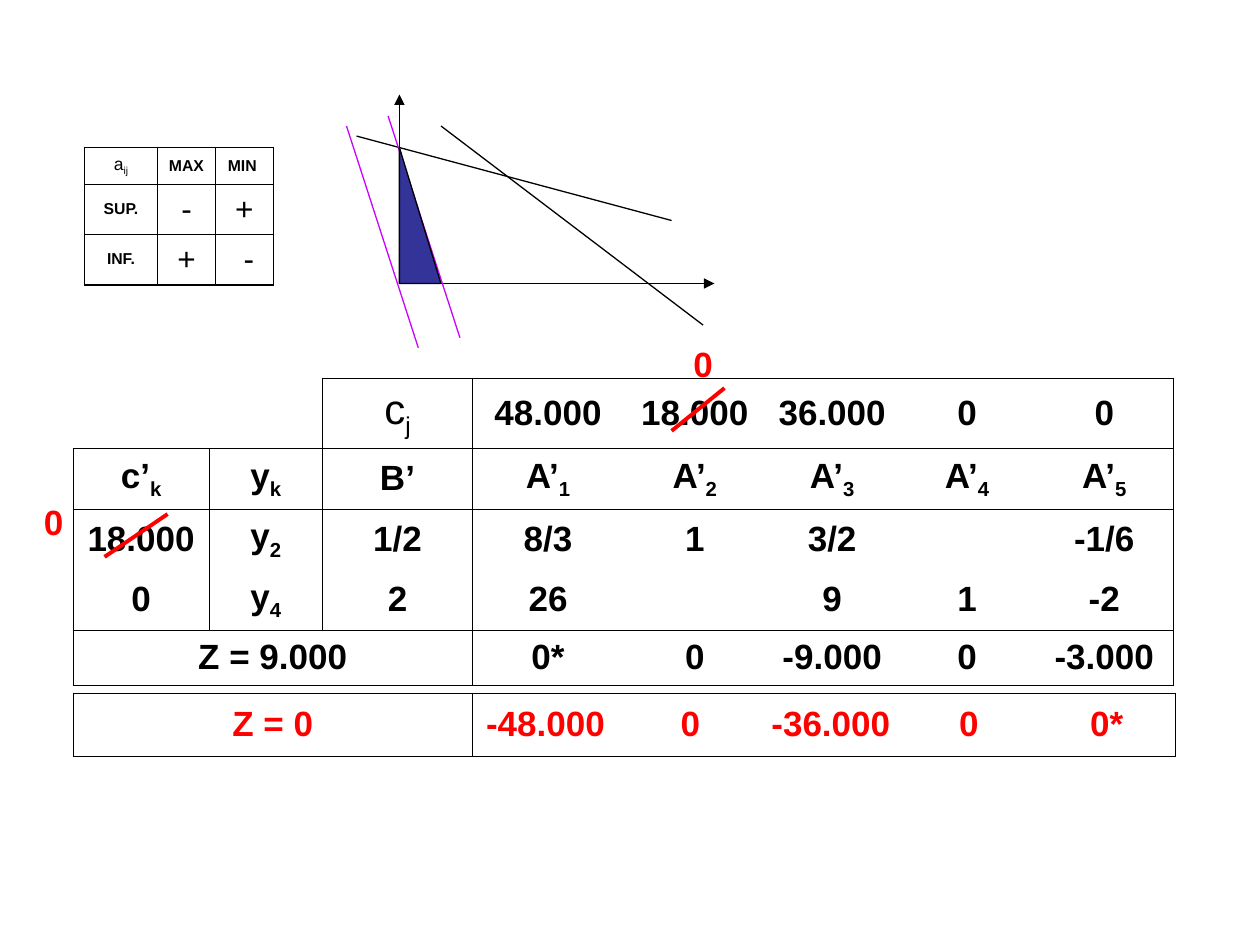
from dataclasses import dataclass

from lxml.etree import SubElement
from pptx import Presentation
from pptx.dml.color import RGBColor
from pptx.enum.shapes import MSO_CONNECTOR
from pptx.enum.text import MSO_ANCHOR, PP_ALIGN
from pptx.oxml.ns import qn
from pptx.util import Inches, Pt


@dataclass(frozen=True)
class Theme:
    """Colours, type sizes and line widths of the slide."""
    font: str = "Arial"
    black: str = "000000"
    red: str = "FF0000"
    purple: str = "CC00FF"
    navy: str = "333399"
    label: float = 9
    corner: float = 10
    sign: float = 18
    body: float = 20
    heading: float = 24
    subscript: str = "-25000"
    border: float = 0.45
    frame: float = 1.08
    thin: float = 0.75
    strike: float = 2.25


THEME = Theme()
FULL_ROW = "LTRB LTRB LTRB LTB TB TB TB TRB"
SIMPLEX_COLUMNS = [1.08, 0.9, 1.19, 1.2, 1.13, 1.05, 1.09, 1.09]
SIMPLEX_HEIGHTS = [0.56, 0.48, 0.48, 0.48, 0.44]
SIMPLEX_ROWS = [
    ["", "", "c_j", "48.000", "18.000", "36.000", "0", "0"],
    ["c’_k", "y_k", "B’", "A’_1", "A’_2", "A’_3", "A’_4", "A’_5"],
    ["18.000", "y_2", "1/2", "8/3", "1", "3/2", "", "-1/6"],
    ["0", "y_4", "2", "26", "", "9", "1", "-2"],
    ["Z = 9.000", "", "", "0*", "0", "-9.000", "0", "-3.000"],
]
SIMPLEX_SIDES = [
    "B RB LTRB LTB TB TB TB TRB",
    FULL_ROW,
    "LTR LTR LTR LT T T T TR",
    "LRB LRB LRB LB B B B RB",
    FULL_ROW,
]
SIGN_ROWS = [["a_ij", "MAX", "MIN "], ["SUP.", "-", "+"], ["INF.", "+", " -"]]
RESULT_ROWS = [["Z = 0", "-48.000", "0", "-36.000", "0", "0*"]]


def apply_format(target, values):
    """Set each attribute of the target from a dict."""
    for name, value in values.items():
        setattr(target, name, value)


def write_text(paragraph, text, size, bold=True, color=THEME.black):
    """Write text, lowering whatever follows an underscore."""
    for index, part in enumerate(text.split("_")):
        run = paragraph.add_run()
        run.text = part
        apply_format(run.font, {"name": THEME.font, "size": Pt(size), "bold": bold})
        run.font.color.rgb = RGBColor.from_string(color)
        if index:
            run.font._element.set("baseline", THEME.subscript)


def set_borders(cell, sides, widths):
    """Draw the listed sides of a cell and clear the others."""
    properties = cell._tc.get_or_add_tcPr()
    for side in "LRTB":
        line = SubElement(properties, qn(f"a:ln{side}"), w=str(Pt(widths[side])))
        if side in sides:
            fill = SubElement(line, qn("a:solidFill"))
            SubElement(fill, qn("a:srgbClr"), val=THEME.black)
        else:
            SubElement(line, qn("a:noFill"))


def add_grid(slide, position, columns, heights, rows, sides, style, frame=THEME.border):
    """Add a table whose outer edges have the frame width."""
    left, top = position
    table = slide.shapes.add_table(
        len(heights), len(columns), Inches(left), Inches(top),
        Inches(sum(columns)), Inches(sum(heights))).table
    apply_format(table, {"first_row": False, "horz_banding": False})
    for column, width in zip(table.columns, columns):
        column.width = Inches(width)
    for row, height in zip(table.rows, heights):
        row.height = Inches(height)
    margin = Inches(0.05)
    cell_format = {"margin_left": margin, "margin_right": margin, "margin_top": margin,
                   "margin_bottom": margin, "vertical_anchor": MSO_ANCHOR.MIDDLE}
    for r, texts in enumerate(rows):
        for c, (text, cell_sides) in enumerate(zip(texts, sides[r].split())):
            cell = table.cell(r, c)
            apply_format(cell, cell_format)
            outer = {"L": c == 0, "R": c == len(columns) - 1,
                     "T": r == 0, "B": r == len(rows) - 1}
            set_borders(cell, cell_sides, {
                side: frame if edge else THEME.border for side, edge in outer.items()})
            cell.fill.background()
            if text:
                paragraph = cell.text_frame.paragraphs[0]
                paragraph.alignment = PP_ALIGN.CENTER
                write_text(paragraph, text, **style(r, c))
    return table


def add_line(slide, start, end, color=THEME.black, width=THEME.thin, arrow=False):
    """Add a straight line, with an arrowhead at its end if asked."""
    connector = slide.shapes.add_connector(
        MSO_CONNECTOR.STRAIGHT, *(Inches(value) for value in (*start, *end)))
    connector.line.color.rgb = RGBColor.from_string(color)
    connector.line.width = Pt(width)
    if arrow:
        SubElement(connector.line._get_or_add_ln(), qn("a:tailEnd"), type="triangle")
    SubElement(connector._element.spPr, qn("a:effectLst"))


def add_region(slide, points):
    """Add the filled feasible region."""
    corners = [(Inches(x), Inches(y)) for x, y in points]
    builder = slide.shapes.build_freeform(*corners[0])
    builder.add_line_segments(corners[1:], close=True)
    shape = builder.convert_to_shape()
    shape.shadow.inherit = False
    shape.fill.solid()
    shape.fill.fore_color.rgb = RGBColor.from_string(THEME.navy)
    shape.line.color.rgb = RGBColor.from_string(THEME.black)
    shape.line.width = Pt(THEME.thin)


def add_replacement(slide, left, top, width, alignment):
    """Add the red zero beside a struck-out value."""
    box = slide.shapes.add_textbox(
        Inches(left), Inches(top), Inches(width), Inches(0.44))
    box.text_frame.word_wrap = True
    paragraph = box.text_frame.paragraphs[0]
    paragraph.alignment = alignment
    write_text(paragraph, "0", THEME.body, color=THEME.red)


def simplex_style(row, column):
    """Give the text style of a simplex table cell."""
    heading = (row, column) == (0, 2)
    return {"size": THEME.heading if heading else THEME.body, "bold": not heading}


def sign_style(row, column):
    """Give the text style of a sign table cell."""
    if row and column:
        return {"size": THEME.sign, "bold": False}
    if row or column:
        return {"size": THEME.label}
    return {"size": THEME.corner, "bold": False}


def result_style(row, column):
    """Give the text style of the new objective row."""
    return {"size": THEME.body, "color": THEME.red}


def main():
    """Build the slide and save it."""
    presentation = Presentation()
    apply_format(presentation, {"slide_width": Inches(10), "slide_height": Inches(7.5)})
    slide = presentation.slides.add_slide(presentation.slide_layouts[6])

    simplex = add_grid(slide, (0.58, 3), SIMPLEX_COLUMNS, SIMPLEX_HEIGHTS,
                       SIMPLEX_ROWS, SIMPLEX_SIDES, simplex_style)
    simplex.cell(4, 0).merge(simplex.cell(4, 2))

    origin = (3.17, 2.25)
    for axis_end in ((3.17, 0.75), (5.67, 2.25)):
        add_line(slide, origin, axis_end, arrow=True)
    add_line(slide, (2.83, 1.08), (5.33, 1.75))
    add_line(slide, (3.5, 1), (5.58, 2.58))
    add_line(slide, (3.65, 2.68), (3.08, 0.92), THEME.purple)
    add_region(slide, [origin, (3.17, 1.17), (3.5, 2.25)])
    add_grid(slide, (0.67, 1.17), [0.58, 0.46, 0.46], [0.29, 0.4, 0.4],
             SIGN_ROWS, ["LTRB LTRB LTRB"] * 3, sign_style, THEME.frame)
    add_line(slide, (3.32, 2.76), (2.75, 1), THEME.purple)

    add_line(slide, (5.33, 3.42), (5.75, 3.08), THEME.red, THEME.strike)
    add_line(slide, (0.83, 4.42), (1.33, 4.08), THEME.red, THEME.strike)
    add_replacement(slide, 4.83, 2.67, 1.5, PP_ALIGN.CENTER)
    add_replacement(slide, 0.25, 3.92, 1.67, PP_ALIGN.LEFT)
    add_grid(slide, (0.58, 5.5), [3.17, 1.16, 1.14, 1.09, 1.1, 1.09], [0.5],
             RESULT_ROWS, ["LTRB LTB TB TB TB TRB"], result_style)
    presentation.save("out.pptx")


if __name__ == "__main__":
    main()
